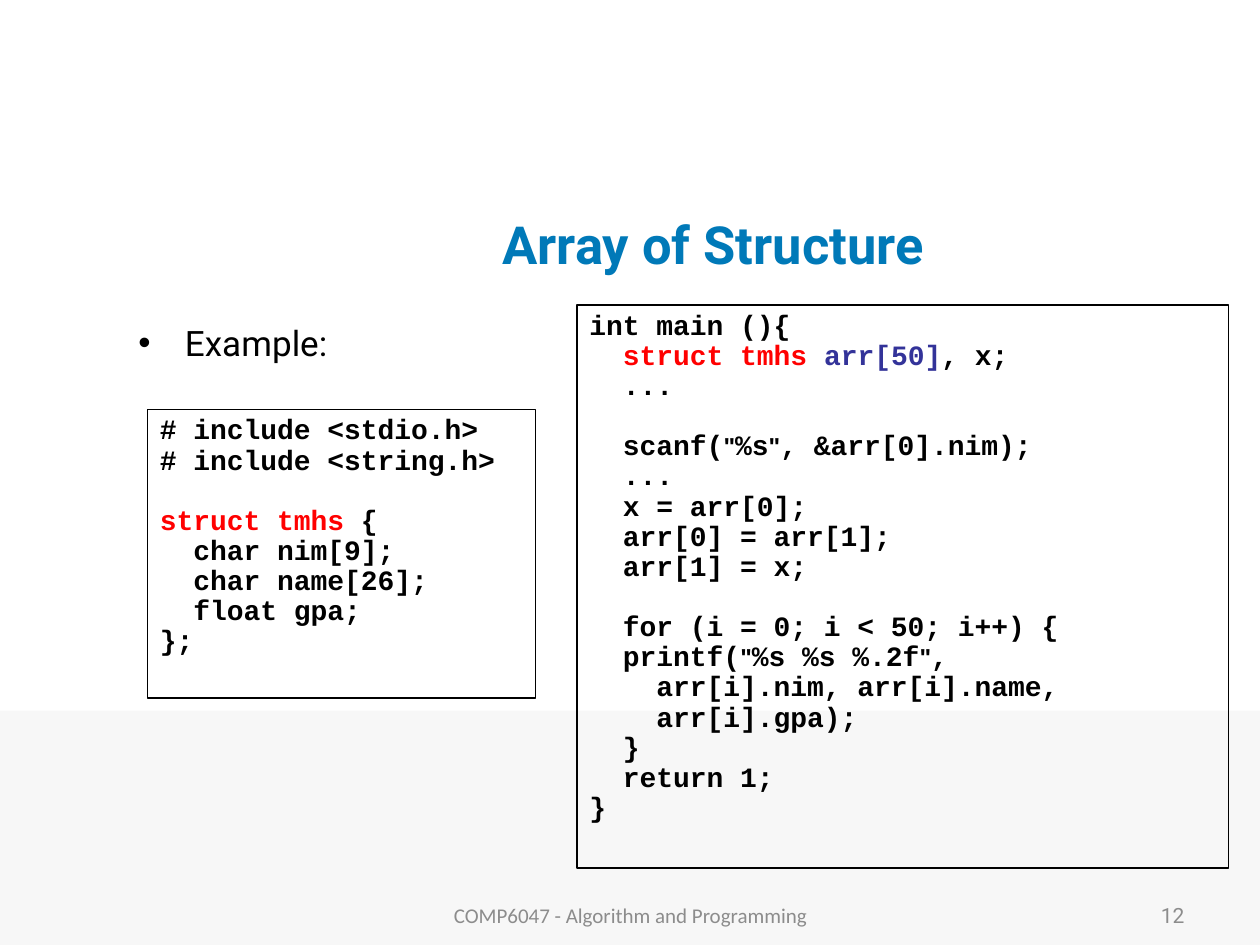
from dataclasses import dataclass

import pptx
import pptx.dml.color
import pptx.enum.shapes
import pptx.enum.text
import pptx.oxml
import pptx.oxml.ns
import pptx.util
from pptx.util import Inches

ALIGN = pptx.enum.text.PP_ALIGN
ANCHOR = pptx.enum.text.MSO_ANCHOR
BLACK, RED, INDIGO, BLUE = "000000", "FF0000", "333399", "0079B8"
GRAY, PALE = "8C8C8C", "F7F7F7"
CODE_LINE = 17  # height of one code line in points


@dataclass(frozen=True)
class Box:
    left: float
    top: float
    width: float
    height: float

    def emu(self) -> list[int]:
        return [Inches(v) for v in (self.left, self.top, self.width, self.height)]


@dataclass(frozen=True)
class Span:
    text: str
    color: str = BLACK


@dataclass(frozen=True)
class Listing:
    box: Box
    lines: list[list[Span]]


def rgb(value: str) -> pptx.dml.color.RGBColor:
    return pptx.dml.color.RGBColor.from_string(value)


def add_text(p, text: str, *, size: float, font: str, color: str = BLACK,
             bold: bool = False) -> None:
    r = p.add_run()
    r.text = text
    r.font.size = pptx.util.Pt(size)
    r.font.name = font
    r.font.bold = bold
    r.font.color.rgb = rgb(color)


def prepare(tf, anchor=ANCHOR.TOP):
    """Set up a text frame and return its first paragraph."""
    tf.word_wrap = True
    tf.auto_size = pptx.enum.text.MSO_AUTO_SIZE.NONE
    tf.vertical_anchor = anchor
    return tf.paragraphs[0]


def add_rect(s, box: Box, fill: str = "", line: str = ""):
    sp = s.shapes.add_shape(pptx.enum.shapes.MSO_SHAPE.RECTANGLE, *box.emu())
    sp.shadow.inherit = False
    if fill:
        sp.fill.solid()
        sp.fill.fore_color.rgb = rgb(fill)
    else:
        sp.fill.background()
    if line:
        sp.line.color.rgb = rgb(line)
        sp.line.width = pptx.util.Pt(0.75)
    else:
        sp.line.fill.background()
    return sp


def add_label(s, box: Box, text: str, align, font: str) -> None:
    p = prepare(s.shapes.add_textbox(*box.emu()).text_frame, ANCHOR.MIDDLE)
    p.alignment = align
    add_text(p, text, size=12, font=font, color=GRAY)


def add_bullet(s, box: Box, text: str) -> None:
    p = prepare(s.shapes.add_textbox(*box.emu()).text_frame)
    pPr = p._p.get_or_add_pPr()
    pPr.set("marL", str(Inches(0.37)))
    pPr.set("indent", str(-Inches(0.37)))
    ns = pptx.oxml.ns.nsdecls("a")
    pPr.append(pptx.oxml.parse_xml(f'<a:buFont {ns} typeface="Arial"/>'))
    pPr.append(pptx.oxml.parse_xml(f'<a:buChar {ns} char="•"/>'))
    add_text(p, text, size=20, font="Roboto")


def add_code(p, span: Span) -> None:
    """Write code in Courier New, with its quote marks in smaller Arial."""
    for i, part in enumerate(span.text.split('"')):
        if i:
            add_text(p, '"', size=14, font="Arial", color=span.color, bold=True)
        if part:
            add_text(p, part, size=16, font="Courier New", color=span.color, bold=True)


def add_listing(s, listing: Listing) -> None:
    tf = add_rect(s, listing.box, line=BLACK).text_frame
    p = prepare(tf)
    gap = 0
    for i, line in enumerate(listing.lines):
        if not line:  # an empty code line becomes space above the next one
            gap = CODE_LINE
            continue
        if i:
            p = tf.add_paragraph()
        p.alignment = ALIGN.LEFT
        p.line_spacing = 0.9
        if gap:
            p.space_before = pptx.util.Pt(gap)
            gap = 0
        for span in line:
            add_code(p, span)


def plain(code: str) -> list[list[Span]]:
    return [[Span(line)] if line else [] for line in code.split("\n")]


STRUCT = Listing(Box(1.17, 3.25, 3.08, 2.29), [
    *plain("# include <stdio.h>\n# include <string.h>\n"),
    [Span("struct tmhs", RED), Span(" {")],
    *plain("""  char nim[9];
  char name[26];
  float gpa;
};"""),
])

MAIN = Listing(Box(4.58, 2.42, 5.17, 4.47), [
    *plain("int main (){"),
    [Span("  struct tmhs ", RED), Span("arr[50]", INDIGO), Span(", x;")],
    *plain("""  ...

  scanf("%s", &arr[0].nim);
  ...
  x = arr[0];
  arr[0] = arr[1];
  arr[1] = x;

  for (i = 0; i < 50; i++) {
  printf("%s %s %.2f",
    arr[i].nim, arr[i].name,
    arr[i].gpa);
  }
  return 1;
}"""),
])


def main() -> None:
    prs = pptx.Presentation()
    prs.slide_width, prs.slide_height = Inches(10), Inches(7.5)
    s = prs.slides.add_slide(prs.slide_layouts[5])

    # Footer band, behind the title
    band = add_rect(s, Box(0, 5.64, 10, 1.86), fill=PALE)
    title = s.shapes.title
    title._element.addprevious(band._element)

    # Title
    title.left, title.top, title.width, title.height = Box(1.92, 1.5, 7.48, 0.87).emu()
    p = prepare(title.text_frame, ANCHOR.MIDDLE)
    p.alignment = ALIGN.CENTER
    add_text(p, "Array of Structure", size=30, font="Roboto", color=BLUE, bold=True)

    # Example and its code
    add_bullet(s, Box(1, 2.5, 3.4, 0.5), "Example:")
    for listing in (STRUCT, MAIN):
        add_listing(s, listing)

    # Footer
    add_label(s, Box(3.42, 7.06, 3.17, 0.4), "COMP6047 - Algorithm and Programming",
              ALIGN.CENTER, "Calibri")
    add_label(s, Box(7.17, 7.06, 2.33, 0.4), "12", ALIGN.RIGHT, "Roboto")

    prs.save("out.pptx")


if __name__ == "__main__":
    main()
